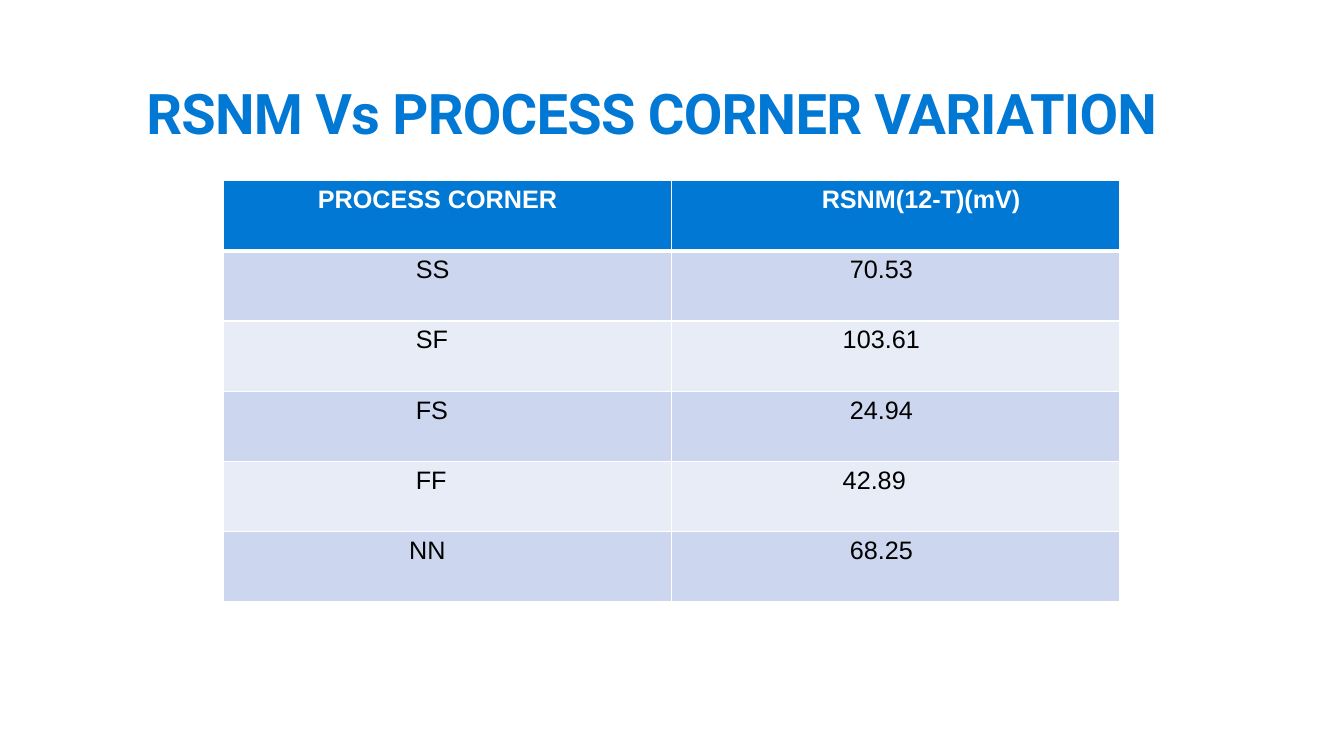
from lxml import etree
from pptx import Presentation
from pptx.dml.color import RGBColor
from pptx.enum.text import MSO_ANCHOR
from pptx.oxml.ns import qn
from pptx.util import Cm, Pt

BOTTOM = MSO_ANCHOR.BOTTOM
TOP = MSO_ANCHOR.TOP

BLUE = RGBColor(0x00, 0x78, 0xD4)
WHITE = RGBColor(0xFF, 0xFF, 0xFF)
BLACK = RGBColor(0x00, 0x00, 0x00)
BAND_DARK = RGBColor(0xCC, 0xD6, 0xEF)
BAND_LIGHT = RGBColor(0xE7, 0xEC, 0xF7)

# Each cell holds its text and its left inset in cm
ROWS = [
    [("PROCESS CORNER", 2.37), ("RSNM(12-T)(mV)", 3.78)],
    [("SS", 4.84), ("70.53", 4.49)],
    [("SF", 4.84), ("103.61", 4.31)],
    [("FS", 4.84), ("24.94", 4.49)],
    [("FF", 4.84), ("42.89", 4.31)],
    [("NN", 4.67), ("68.25", 4.49)],
]


def write_text(text_frame, text, *, font, size, color, bold=False, spacing=None):
    run = text_frame.paragraphs[0].add_run()
    run.text = text
    run.font.name = font
    run.font.size = Pt(size)
    run.font.bold = bold
    run.font.color.rgb = color
    if spacing is not None:
        run.font._element.set("spc", str(int(spacing * 100)))


def set_border(cell, side, width, color):
    properties = cell._tc.get_or_add_tcPr()
    line = etree.SubElement(properties, qn(f"a:ln{side}"), w=str(Pt(width)))
    fill = etree.SubElement(line, qn("a:solidFill"))
    etree.SubElement(fill, qn("a:srgbClr"), val=str(color))


class SlideBuilder:
    title_font = "Roboto"
    body_font = "Arial"

    def __init__(self, slide):
        self.slide = slide

    def title(self, text, left, top, width, height, inset):
        shape = self.slide.shapes.add_textbox(Cm(left), Cm(top), Cm(width), Cm(height))
        frame = shape.text_frame
        frame.word_wrap = True
        frame.vertical_anchor = BOTTOM
        frame.margin_left = Cm(inset)
        frame.margin_top = frame.margin_bottom = 0
        write_text(frame, text, font=self.title_font, size=40, color=BLUE,
                   bold=True, spacing=-0.5)

    def table(self, rows, left, top, width, height):
        shape = self.slide.shapes.add_table(
            len(rows), len(rows[0]), Cm(left), Cm(top), Cm(width), Cm(height))
        for row_index, row in enumerate(rows):
            for column_index, (text, inset) in enumerate(row):
                self.cell(shape.table.cell(row_index, column_index), row_index, text, inset)

    def cell(self, cell, row_index, text, inset):
        header = row_index == 0
        # Borders, with a heavier rule under the header
        widths = {"L": 1, "R": 1, "T": 3 if row_index == 1 else 1, "B": 3 if header else 1}
        for side, width in widths.items():
            set_border(cell, side, width, WHITE)
        # Header fill and alternating bands
        cell.fill.solid()
        band = BAND_DARK if row_index % 2 else BAND_LIGHT
        cell.fill.fore_color.rgb = BLUE if header else band
        # Text
        cell.vertical_anchor = TOP
        cell.margin_left = Cm(inset)
        write_text(cell.text_frame, text, font=self.body_font, size=18,
                   color=WHITE if header else BLACK, bold=header)


def main():
    presentation = Presentation()
    presentation.slide_width = Cm(33.87)
    presentation.slide_height = Cm(19.05)
    builder = SlideBuilder(presentation.slides.add_slide(presentation.slide_layouts[6]))

    builder.title("RSNM Vs PROCESS CORNER VARIATION", -0.91, 1.98, 32.66, 1.7, inset=4.6)
    builder.table(ROWS, 5.64, 4.55, 22.58, 10.62)

    presentation.save("out.pptx")


if __name__ == "__main__":
    main()
